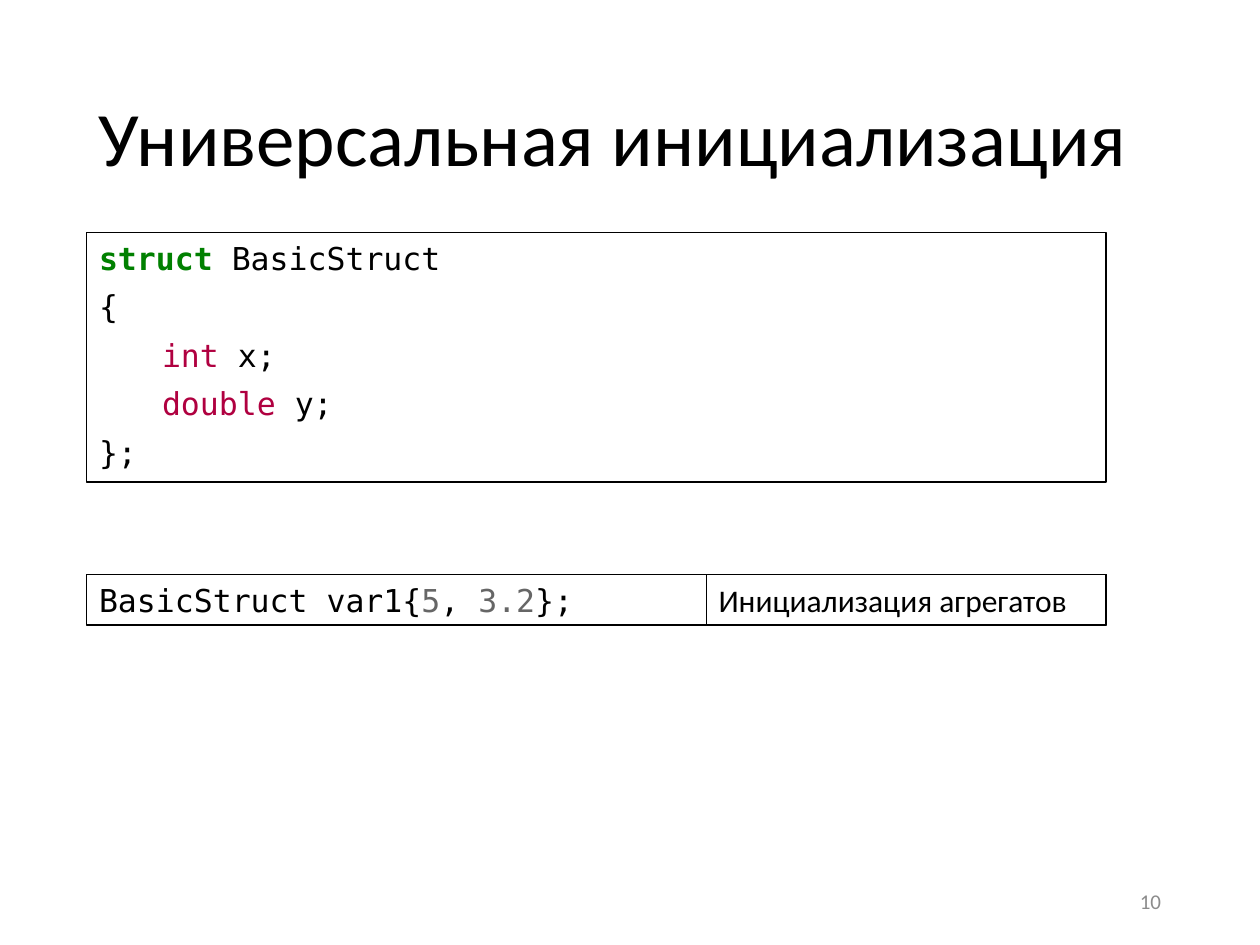
from pptx import Presentation
from pptx.dml.color import RGBColor
from pptx.enum.shapes import MSO_SHAPE
from pptx.enum.text import MSO_ANCHOR, PP_ALIGN
from pptx.util import Pt

RECTANGLE = MSO_SHAPE.RECTANGLE
TOP, MIDDLE = MSO_ANCHOR.TOP, MSO_ANCHOR.MIDDLE
LEFT, RIGHT = PP_ALIGN.LEFT, PP_ALIGN.RIGHT

BLACK = RGBColor(0x00, 0x00, 0x00)
WHITE = RGBColor(0xFF, 0xFF, 0xFF)
GREEN = RGBColor(0x00, 0x80, 0x00)
CRIMSON = RGBColor(0xB0, 0x00, 0x40)
GRAY = RGBColor(0x66, 0x66, 0x66)
LIGHT_GRAY = RGBColor(0x8C, 0x8C, 0x8C)

BODY_FONT = "Calibri"
CODE_FONT = "DejaVu Sans Mono"

TITLE = [[("Универсальная инициализация", BLACK)]]
PAGE_NUMBER = [[("10", LIGHT_GRAY)]]
STRUCT_CODE = [
    [("struct ", GREEN), ("BasicStruct", BLACK)],
    [("{", BLACK)],
    [("\tint ", CRIMSON), ("x;", BLACK)],
    [("\tdouble ", CRIMSON), ("y;", BLACK)],
    [("};", BLACK)],
]
VARIABLE_CODE = [
    [("BasicStruct var1{", BLACK), ("5", GRAY), (", ", BLACK), ("3.2", GRAY), ("};", BLACK)],
]
EXPLANATION = [[("Инициализация агрегатов", BLACK)]]

MARGIN = 49.5
BOX_WIDTH = 582.5
TITLE_WIDTH = 621
NUMBER_WIDTH = 162
EXPLANATION_WIDTH = 228.5
ROW_TOP, ROW_HEIGHT = 328.25, 29


def write(shape, lines, font=BODY_FONT, size=18, anchor=TOP, align=LEFT,
          line_spacing=1.0, gap=0):
    frame = shape.text_frame
    frame.word_wrap = True
    frame.vertical_anchor = anchor
    for index, line in enumerate(lines):
        paragraph = frame.add_paragraph() if index else frame.paragraphs[0]
        paragraph.alignment = align
        paragraph.line_spacing = line_spacing
        paragraph.space_before = Pt(gap if index else 0)
        for text, color in line:
            run = paragraph.add_run()
            run.text = text
            run.font.name = font
            run.font.size = Pt(size)
            run.font.bold = color == GREEN
            run.font.color.rgb = color


def add_text(slide, bounds, lines, **text_format):
    write(slide.shapes.add_textbox(*map(Pt, bounds)), lines, **text_format)


def add_box(slide, bounds, lines, fill=None, **text_format):
    shape = slide.shapes.add_shape(RECTANGLE, *map(Pt, bounds))
    shape.shadow.inherit = False
    if fill is None:
        shape.fill.background()
    else:
        shape.fill.solid()
        shape.fill.fore_color.rgb = fill
    shape.line.color.rgb = BLACK
    shape.line.width = Pt(0.75)
    write(shape, lines, **text_format)


presentation = Presentation()
presentation.slide_width, presentation.slide_height = Pt(720), Pt(540)
slide = presentation.slides.add_slide(presentation.slide_layouts[6])

add_text(slide, (MARGIN, 28.75, TITLE_WIDTH, 104.5), TITLE,
         size=44, anchor=MIDDLE, line_spacing=0.9)
add_text(slide, (MARGIN + TITLE_WIDTH - NUMBER_WIDTH, 500.5, NUMBER_WIDTH, 28.75),
         PAGE_NUMBER, size=12, anchor=MIDDLE, align=RIGHT)
add_box(slide, (MARGIN, 133, BOX_WIDTH, 142.5), STRUCT_CODE, font=CODE_FONT, gap=6.1)
add_box(slide, (MARGIN, ROW_TOP, BOX_WIDTH, ROW_HEIGHT), VARIABLE_CODE, font=CODE_FONT)
add_box(slide, (MARGIN + BOX_WIDTH - EXPLANATION_WIDTH, ROW_TOP, EXPLANATION_WIDTH, ROW_HEIGHT),
        EXPLANATION, fill=WHITE)

presentation.save("out.pptx")
